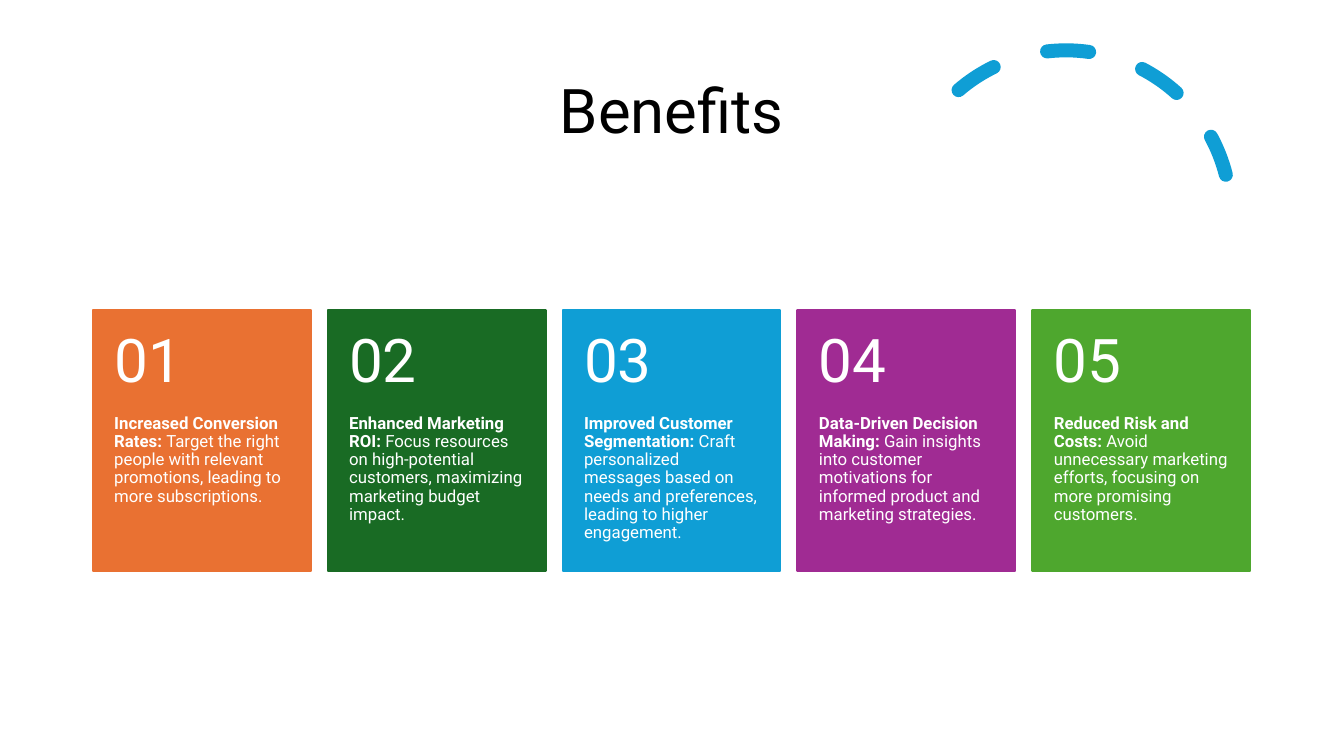
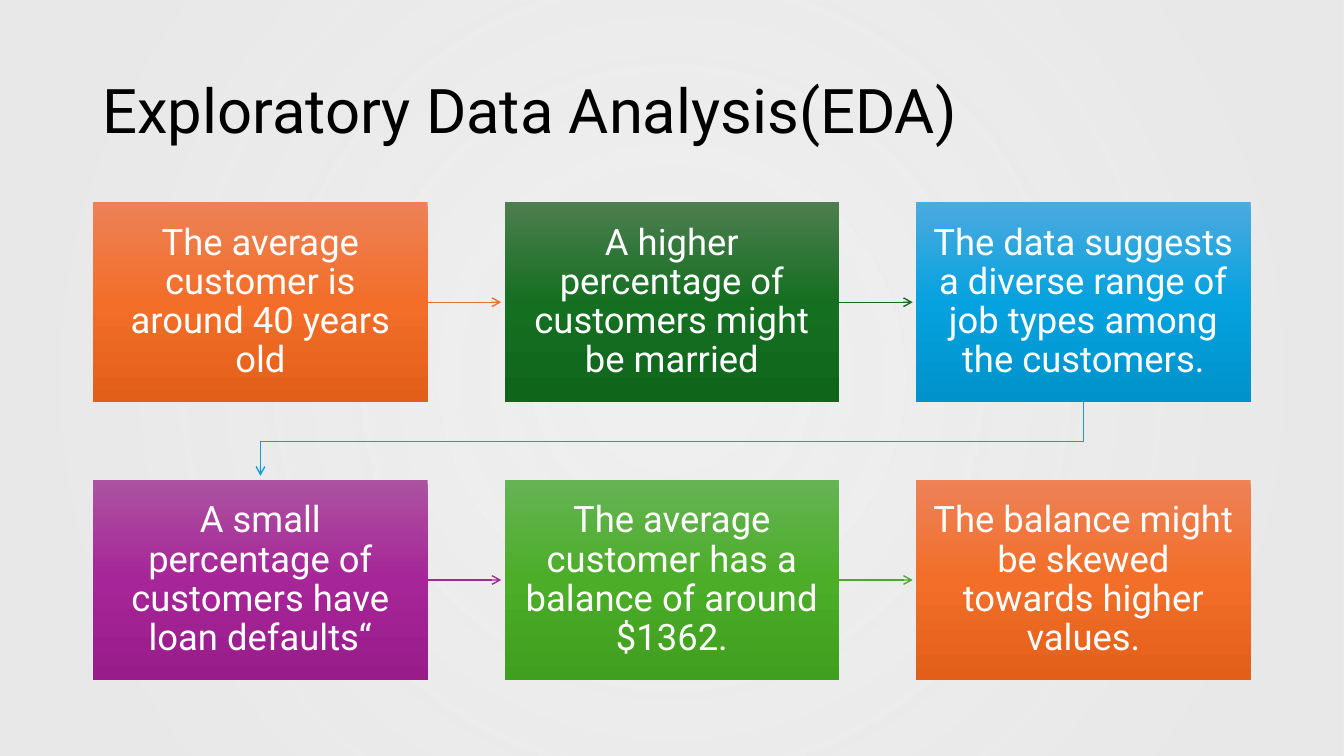
from dataclasses import dataclass

from lxml.etree import SubElement as Sub
from pptx import Presentation
from pptx.dml.color import RGBColor as Rgb
from pptx.enum.dml import MSO_LINE as Dash
from pptx.enum.shapes import MSO_CONNECTOR as Link, MSO_SHAPE as Kind
from pptx.enum.text import MSO_ANCHOR as Anchor, PP_ALIGN as Align
from pptx.oxml import parse_xml
from pptx.oxml.ns import nsdecls, qn
from pptx.util import Cm, Pt


@dataclass(frozen=True)
class Theme:
    font: str = "Roboto"
    black: str = "000000"
    white: str = "FFFFFF"
    grey: str = "E8E8E8"
    hues: tuple = ("E97132", "196B24", "0F9ED5", "A02B93", "4EA72E")
    fades: tuple = (
        ("ED8257", "F26E29", "E25F1A"),
        ("4D7E50", "156F21", "0F661B"),
        ("4CAADF", "05A2DF", "0092CB"),
        ("AC53A0", "A62598", "991C8B"),
        ("66B354", "4BAD28", "409F1E"),
    )
    title: int = 44
    number: int = 43
    step: int = 26
    body: int = 12
    lead: float = 0.9


LOOK = Theme()
WIDE, HIGH = 33.87, 19.05

PERKS = (
    ("Increased Conversion Rates: ",
     "Target the right people with relevant promotions, leading to more subscriptions."),
    ("Enhanced Marketing ROI: ",
     "Focus resources on high-potential customers, maximizing marketing budget impact."),
    ("Improved Customer Segmentation: ",
     "Craft personalized messages based on needs and preferences, leading to higher engagement."),
    ("Data-Driven Decision Making: ",
     "Gain insights into customer motivations for informed product and marketing strategies."),
    ("Reduced Risk and Costs: ",
     "Avoid unnecessary marketing efforts, focusing on more promising customers."),
)

FACTS = (
    "The average customer is around 40 years old",
    "A higher percentage of customers might be married",
    "The data suggests a diverse range of job types among the customers.",
    "A small percentage of customers have loan defaults“",
    "The average customer has a balance of around $1362.",
    "The balance might be skewed towards higher values.",
)


def write(shape, text, *, size, color=LOOK.white, bold="", align=Align.LEFT,
          anchor=Anchor.MIDDLE, pad=(0.25, 0.13, 0.25, 0.13)):
    frame = shape.text_frame
    frame.word_wrap = True
    frame.vertical_anchor = anchor
    (frame.margin_left, frame.margin_top,
     frame.margin_right, frame.margin_bottom) = map(Cm, pad)
    para = frame.paragraphs[0]
    para.alignment = align
    para.line_spacing = LOOK.lead
    for part, heavy in ((bold, True), (text, False)):
        if part:
            run = para.add_run()
            run.text = part
            font = run.font
            font.name, font.size, font.bold = LOOK.font, Pt(size), heavy
            font.color.rgb = Rgb.from_string(color)


def label(slide, box, text, **form):
    write(slide.shapes.add_textbox(*map(Cm, box)), text, **form)


def title(slide, text, align=Align.LEFT):
    label(slide, (2.33, 1.02, 29.21, 3.68), text, size=LOOK.title,
          color=LOOK.black, align=align)


def stroke(line, color, width):
    line.color.rgb = Rgb.from_string(color)
    line.width = Pt(width)


def shape(slide, kind, box):
    item = slide.shapes.add_shape(kind, *map(Cm, box))
    item.shadow.inherit = False
    return item


def blend(slide, box, stops, course):
    item = shape(slide, Kind.RECTANGLE, box)
    item.line.fill.background()
    marks = "".join(
        f'<a:gs pos="{spot * 1000}"><a:srgbClr val="{color}">'
        f'<a:alpha val="{alpha * 1000}"/></a:srgbClr></a:gs>'
        for spot, color, alpha in stops)
    fill = parse_xml(f'<a:gradFill {nsdecls("a")} rotWithShape="1">'
                     f'<a:gsLst>{marks}</a:gsLst>{course}</a:gradFill>')
    item.element.spPr.find(qn("a:prstGeom")).addnext(fill)
    return item


def backdrop(slide):
    blend(slide, (0, 0, WIDE, HIGH), ((10, LOOK.grey, 68), (85, LOOK.grey, 97)),
          '<a:path path="circle"><a:fillToRect l="50000" t="50000" '
          'r="50000" b="50000"/></a:path>')


def tip(item):
    line = item.element.spPr.find(qn("a:ln"))
    Sub(line, qn("a:tailEnd"), type="arrow")


def arrow(slide, start, left, top, size, color):
    item = slide.shapes.add_connector(
        Link.STRAIGHT, Cm(left), Cm(top), Cm(left + size), Cm(top))
    item.begin_connect(start, 3)
    stroke(item.line, color, 1)
    tip(item)
    Sub(item.element.spPr, qn("a:effectLst"))


def bend(slide, points, color):
    first, *rest = [(Cm(x), Cm(y)) for x, y in points]
    pen = slide.shapes.build_freeform(*first)
    pen.add_line_segments(rest, close=False)
    item = pen.convert_to_shape()
    item.shadow.inherit = False
    item.fill.background()
    stroke(item.line, color, 1)
    tip(item)


def arc(slide):
    item = shape(slide, Kind.ARC, (22.71, 1.27, 8.31, 8.31))
    item.rotation = 345.8
    item.adjustments[0] = 146.13
    item.adjustments[1] = 0
    item.fill.background()
    stroke(item.line, LOOK.hues[2], 10)
    item.line.dash_style = Dash.DASH
    item.element.spPr.find(qn("a:ln")).set("cap", "rnd")


def card(slide, index, bold, text):
    left, top, width, height, head = 2.34 + index * 5.92, 7.82, 5.49, 6.58, 2.64
    hue = LOOK.hues[index]
    item = shape(slide, Kind.RECTANGLE, (left, top, width, height))
    item.fill.solid()
    item.fill.fore_color.rgb = Rgb.from_string(hue)
    stroke(item.line, hue, 1.5)
    label(slide, (left, top, width, head), f"{index + 1:02}",
          size=LOOK.number, pad=(0.54, 0.46, 0.54, 0.46))
    label(slide, (left, top + head, width, height - head), text, bold=bold,
          size=LOOK.body, anchor=Anchor.TOP, pad=(0.54, 0, 0.54, 0.91))


def benefits(slide):
    arc(slide)
    title(slide, "Benefits", Align.CENTER)
    for index, (bold, text) in enumerate(PERKS):
        card(slide, index, bold, text)


def flow(slide):
    backdrop(slide)
    title(slide, "Exploratory Data Analysis(EDA)")
    cols, width, height, reach = 3, 8.43, 5.05, 1.85
    for index, text in enumerate(FACTS):
        row, col = divmod(index, cols)
        left, top = 2.35 + col * 10.37, 5.09 + row * 7
        tone = index % len(LOOK.hues)
        hue = LOOK.hues[tone]
        stops = [(spot, color, 100)
                 for spot, color in zip((0, 50, 100), LOOK.fades[tone])]
        item = blend(slide, (left, top, width, height), stops,
                     '<a:lin ang="5400000" scaled="0"/>')
        write(item, text, size=LOOK.step, align=Align.CENTER,
              pad=(0.41, 0.43, 0.41, 0.43))
        if col < cols - 1:
            arrow(slide, item, left + width, top + height / 2, reach, hue)
        elif index < len(FACTS) - 1:
            base, start, end = top + height, left + width / 2, 2.35 + width / 2
            turn = base + 0.98
            bend(slide, ((start, base), (start, turn), (end, turn),
                         (end, base + reach)), hue)


def main():
    deck = Presentation()
    deck.slide_width, deck.slide_height = Cm(WIDE), Cm(HIGH)
    for draw in (benefits, flow):
        draw(deck.slides.add_slide(deck.slide_layouts[6]))
    deck.save("out.pptx")


if __name__ == "__main__":
    main()
